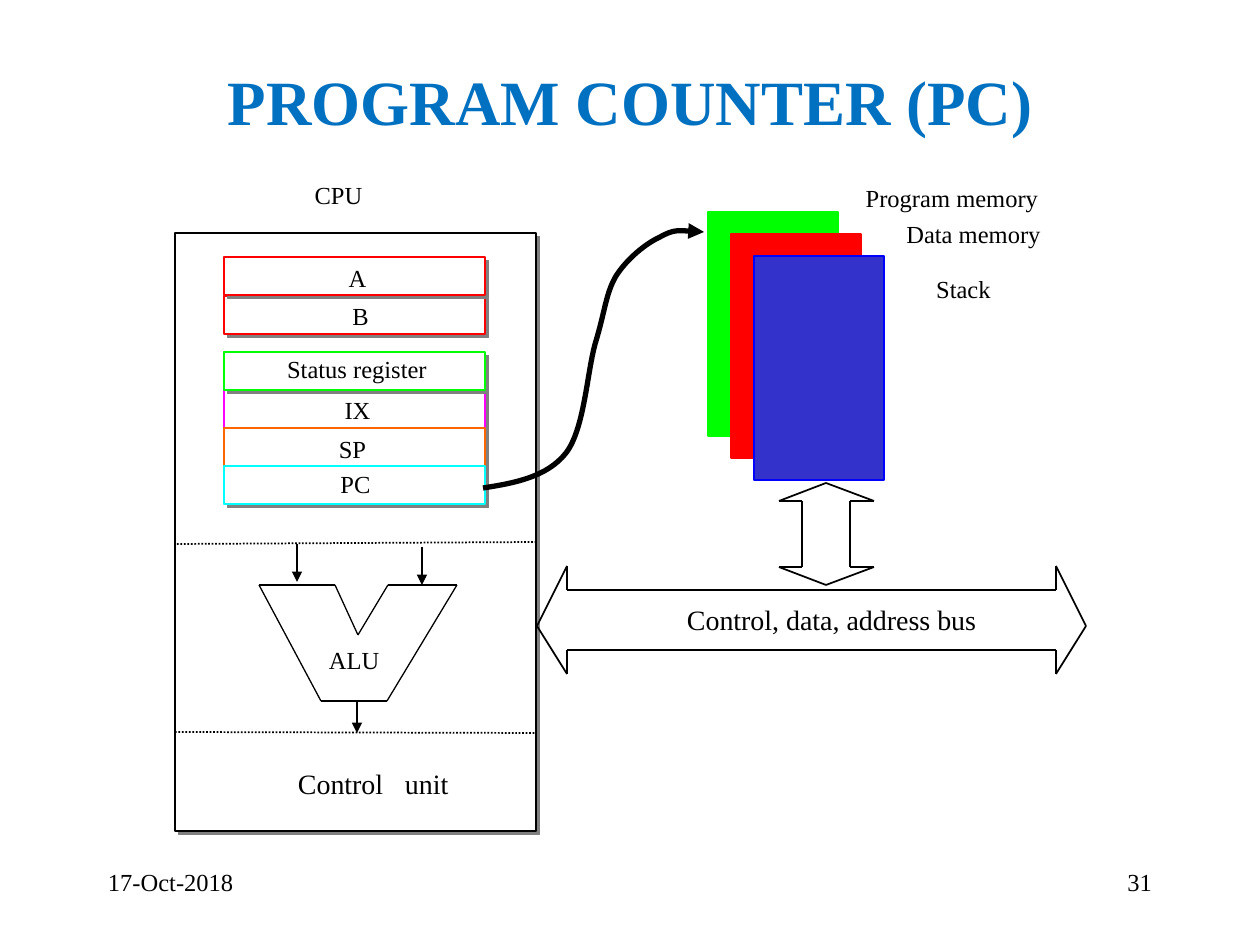
from itertools import pairwise
from pptx import Presentation
from pptx.dml.color import RGBColor
from pptx.enum.dml import MSO_LINE
from pptx.enum.shapes import MSO_CONNECTOR, MSO_SHAPE
from pptx.enum.text import MSO_ANCHOR, PP_ALIGN
from pptx.oxml import parse_xml
from pptx.oxml.ns import nsdecls, qn
from pptx.oxml.xmlchemy import OxmlElement
from pptx.util import Pt

PX = 914400 / 126
SHADOW = (f'<a:effectLst {nsdecls("a")}><a:outerShdw dist="35921" dir="2700000" algn="ctr" '
          'rotWithShape="0"><a:srgbClr val="808080"/></a:outerShdw></a:effectLst>')
ARROWHEAD = f'<a:tailEnd {nsdecls("a")} type="triangle"/>'

prs = Presentation()
prs.slide_width, prs.slide_height = round(1260 * PX), round(945 * PX)
slide = prs.slides.add_slide(prs.slide_layouts[6])
shapes = slide.shapes


def emu(*lengths):
    return [round(length * PX) for length in lengths]


def add_text(text, x, y, w, h, size=14, color="000000", bold=False,
             align=PP_ALIGN.CENTER, anchor=MSO_ANCHOR.TOP, inset=(0, 0), tab=None):
    frame = shapes.add_textbox(*emu(x, y, w, h)).text_frame
    frame.word_wrap = True
    frame.vertical_anchor = anchor
    frame.margin_left = frame.margin_right = emu(inset[0])[0]
    frame.margin_top = frame.margin_bottom = emu(inset[1])[0]
    paragraph = frame.paragraphs[0]
    paragraph.alignment = align
    if tab:
        paragraph._p.get_or_add_pPr().append(parse_xml(
            f'<a:tabLst {nsdecls("a")}><a:tab pos="{emu(tab)[0]}" algn="l"/></a:tabLst>'))
    run = paragraph.add_run()
    run.text = text
    run.font.name, run.font.size, run.font.bold = "Times New Roman", Pt(size), bold
    run.font.color.rgb = RGBColor.from_string(color)


# Title
add_text("PROGRAM COUNTER (PC)", 95, 50, 1071, 100, size=36, color="0070C0",
         bold=True, anchor=MSO_ANCHOR.MIDDLE, inset=(13, 6))

# CPU, its registers and the memories: x, y, w, h, fill, line, line width, shadow
boxes = [(175, 233, 361, 598, "FFFFFF", "000000", 1, True)]
for register_y, register_color in [(390, "FF00FF"), (352, "00FF00"), (428, "FF6600"),
                                   (466, "00FFFF"), (296, "FF0000"), (257, "FF0000")]:
    boxes.append((224, register_y, 261, 38, "FFFFFF", register_color, 0.75, True))
for i, (memory_fill, memory_line) in enumerate(
        [("00FF00", "00FF00"), ("FF0000", "FF0000"), ("3333CC", "0000FF")]):
    boxes.append((708 + 23 * i, 212 + 22 * i, 130, 224, memory_fill, memory_line, 0.75, False))
for x, y, w, h, fill, outline, width, shadow in boxes:
    box = shapes.add_shape(MSO_SHAPE.RECTANGLE, *emu(x, y, w, h))
    box.shadow.inherit = False
    box.fill.solid()
    box.fill.fore_color.rgb = RGBColor.from_string(fill)
    box.line.color.rgb = RGBColor.from_string(outline)
    box.line.width = Pt(width)
    if shadow:
        properties = box._element.spPr
        properties.remove(properties.find(qn("a:effectLst")))
        properties.append(parse_xml(SHADOW))

# Lines: points, width, dash, arrowhead
memory_arrow = [(826, 483), (874, 501), (850, 501), (850, 567), (874, 567), (826, 585),
                (779, 567), (802, 567), (802, 501), (779, 501), (826, 483)]
bus = [(537, 626), (567, 566), (567, 590), (1056, 590), (1056, 566), (1086, 626),
       (1056, 674), (1056, 650), (567, 650), (567, 674), (537, 626)]
alu = [(387, 701), (457, 585), (388, 585), (358, 635), (335, 585), (259, 585),
       (321, 701), (387, 701)]
dotted = MSO_LINE.ROUND_DOT
for points, width, dash, arrow in [
        ([(177, 544), (536, 542)], 1, dotted, False),
        ([(175, 732), (536, 733)], 1, dotted, False),
        (memory_arrow, 1, None, False),
        (bus, 1, None, False),
        (alu, 0.75, None, False),
        ([(297, 544), (297, 582)], 0.75, None, True),
        ([(422, 547), (422, 585)], 0.75, None, True),
        ([(357, 701), (357, 733)], 0.75, None, True)]:
    for start, end in pairwise(points):
        line = shapes.add_connector(MSO_CONNECTOR.STRAIGHT, *emu(*start, *end))
        line.line.color.rgb = RGBColor.from_string("000000")
        line.line.width = Pt(width)
        if dash:
            line.line.dash_style = dash
        if arrow:
            line.line._get_or_add_ln().append(parse_xml(ARROWHEAD))
        line._element.spPr.append(OxmlElement("a:effectLst"))

# Short labels
for label, x, y, w in [("CPU", 268, 180, 141), ("A", 307, 263, 101), ("B", 310, 301, 101),
                       ("Status register", 252, 354, 210), ("IX", 307, 395, 101),
                       ("SP", 302, 434, 101), ("PC", 305, 469, 101),
                       ("Program memory", 847, 183, 210), ("Data memory", 888, 219, 171),
                       ("Stack", 906, 274, 115)]:
    add_text(label, x, y, w, 28)

# Unit and bus labels
left = PP_ALIGN.LEFT
add_text("ALU", 316, 639, 93, 40, align=left, inset=(13, 6))
add_text("Control\tunit", 285, 761, 224, 44, size=16, align=left, inset=(13, 6), tab=107)
add_text("Control, data, address bus", 674, 597, 316, 44, size=16, align=left, inset=(13, 6))

# Curve from PC to program memory: each three points after the first make one Bézier
curve_points = [(483, 488), (515, 483), (547, 477), (566, 453), (585, 428), (587, 370),
                (596, 341), (605, 311), (606, 293), (616, 276), (627, 259), (645, 244),
                (660, 237), (674, 229), (689, 231), (704, 232)]
builder = shapes.build_freeform(*curve_points[0], scale=PX)
builder.add_line_segments(curve_points[1:], close=False)
pointer = builder.convert_to_shape()
pointer.shadow.inherit = False
pointer.fill.background()
pointer.line.color.rgb = RGBColor.from_string("000000")
pointer.line.width = Pt(3)
pointer.line._get_or_add_ln().append(parse_xml(ARROWHEAD))
segments = list(pointer._element.iter(qn("a:lnTo")))
outline_path = segments[0].getparent()
for i in range(0, len(segments), 3):
    bezier = OxmlElement("a:cubicBezTo")
    for segment in segments[i:i + 3]:
        bezier.append(segment[0])
        outline_path.remove(segment)
    outline_path.append(bezier)

# Footer
add_text("17-Oct-2018", 95, 861, 262, 63, align=left, inset=(13, 6))
add_text("31", 903, 861, 262, 63, align=PP_ALIGN.RIGHT, inset=(13, 6))

prs.save("out.pptx")
